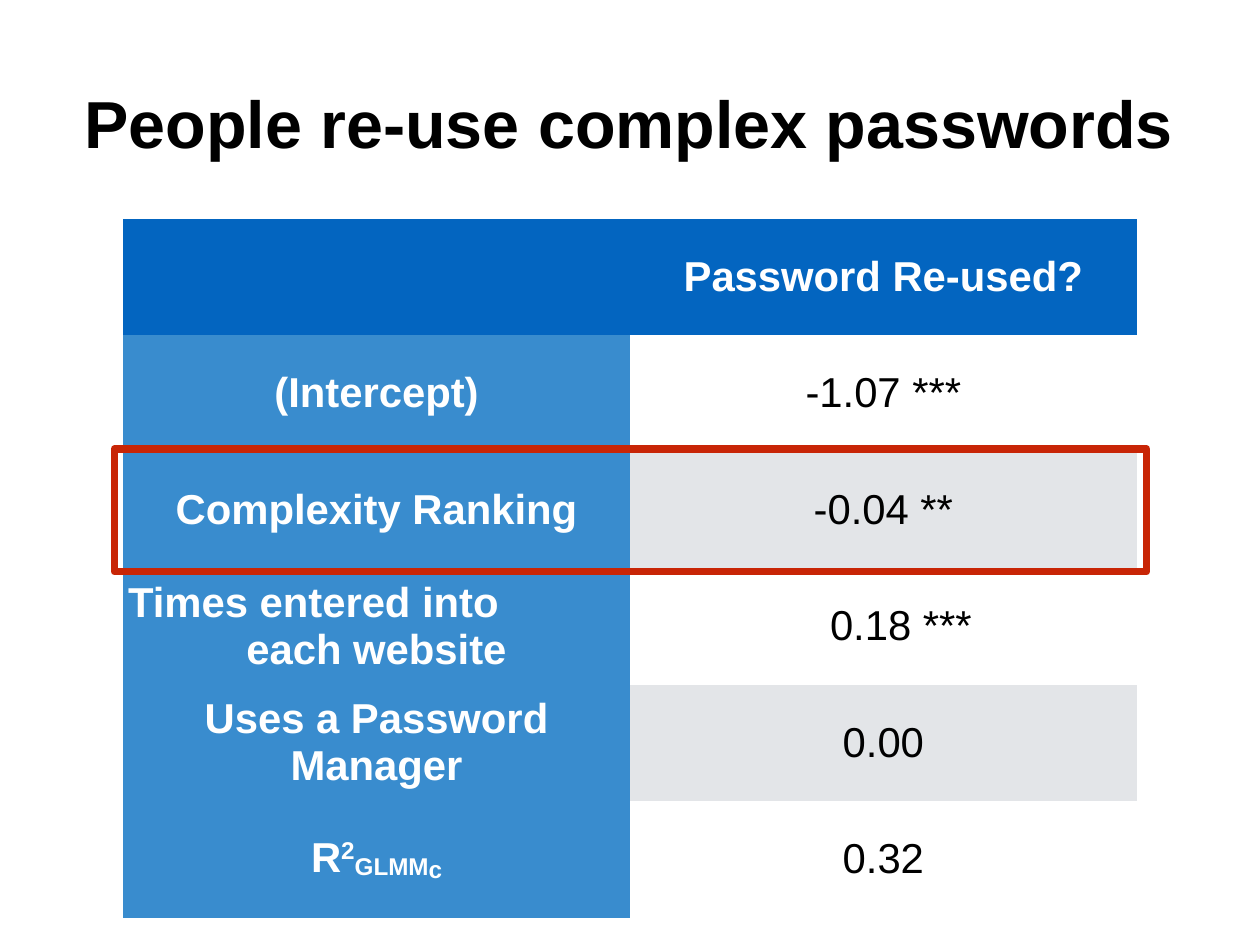
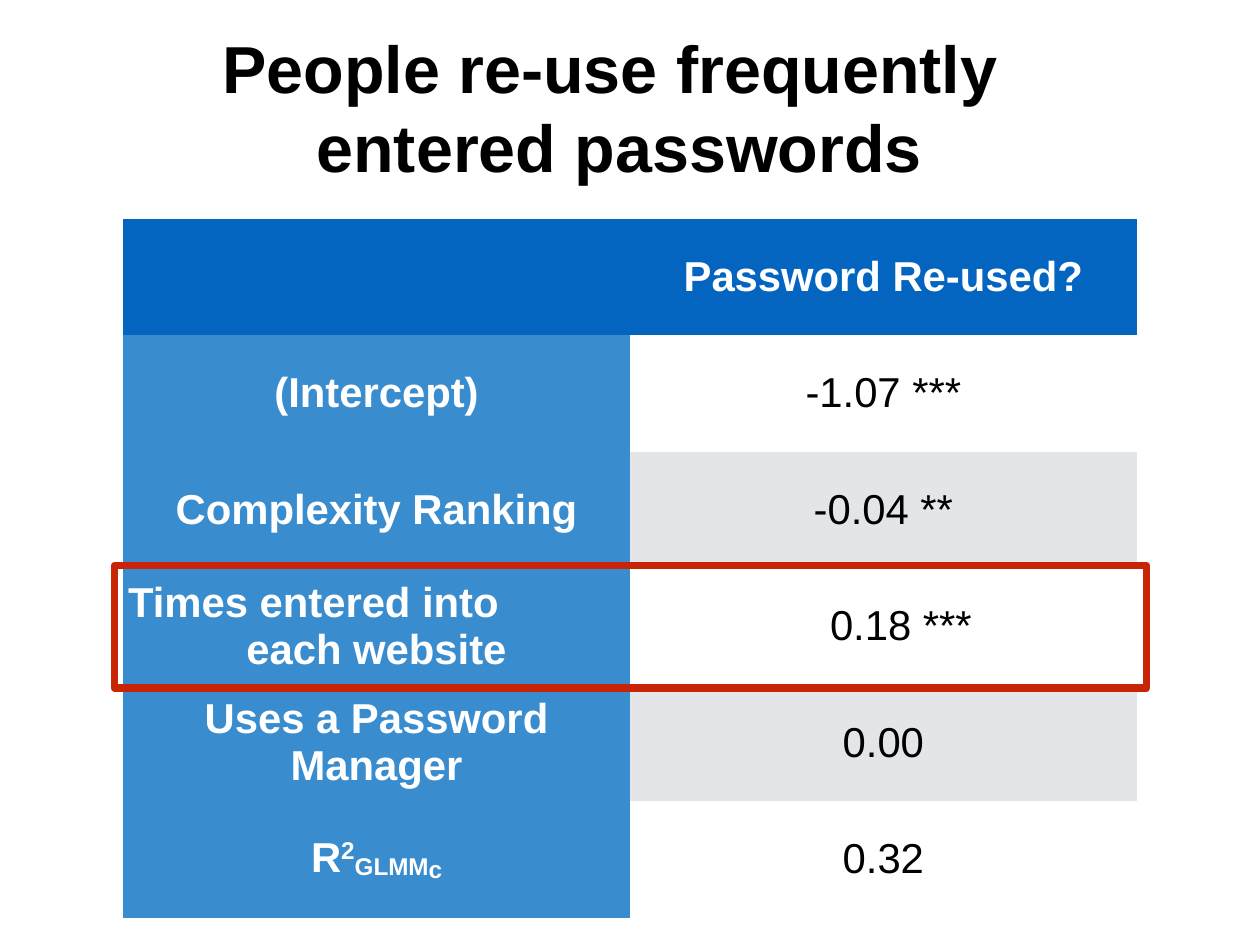
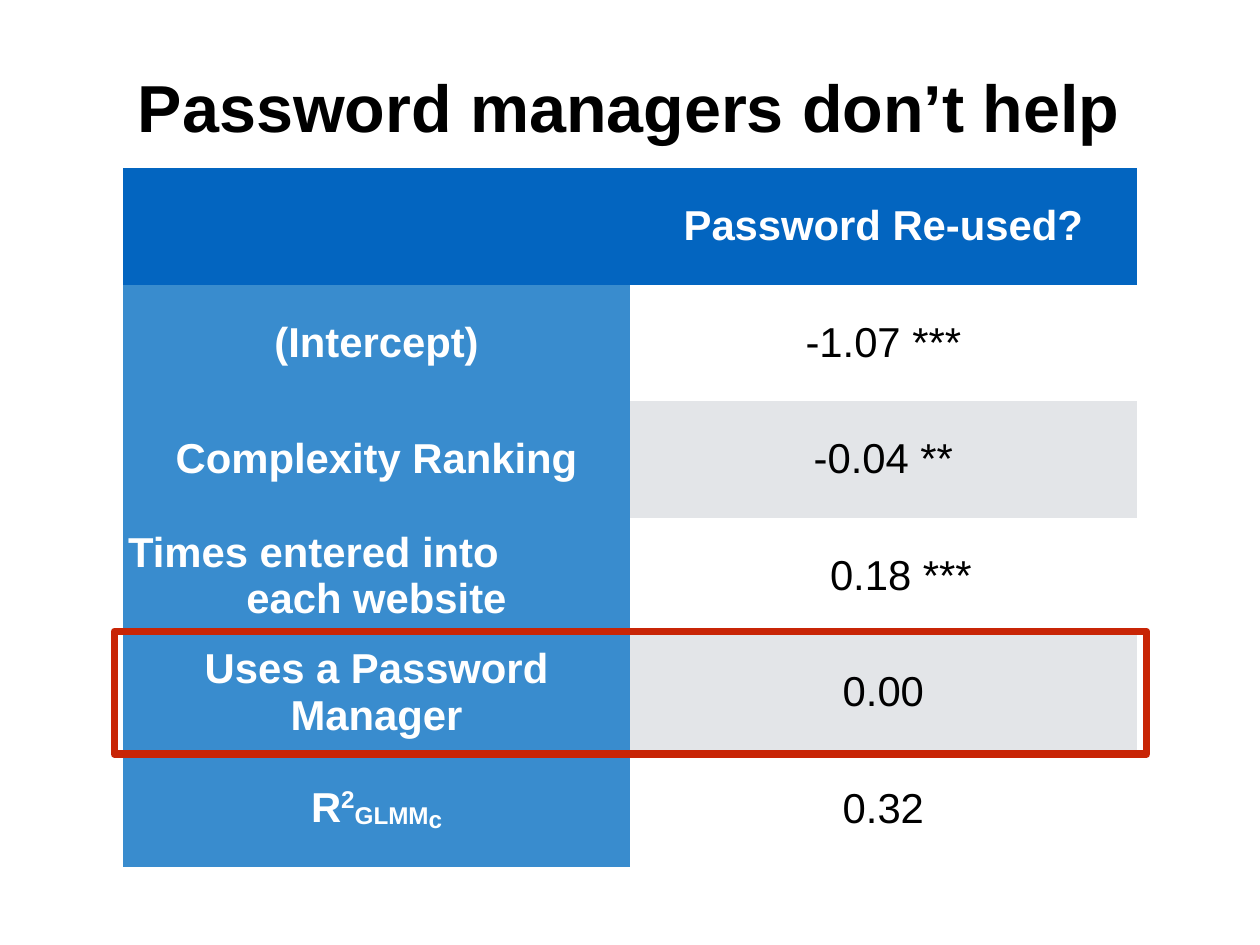
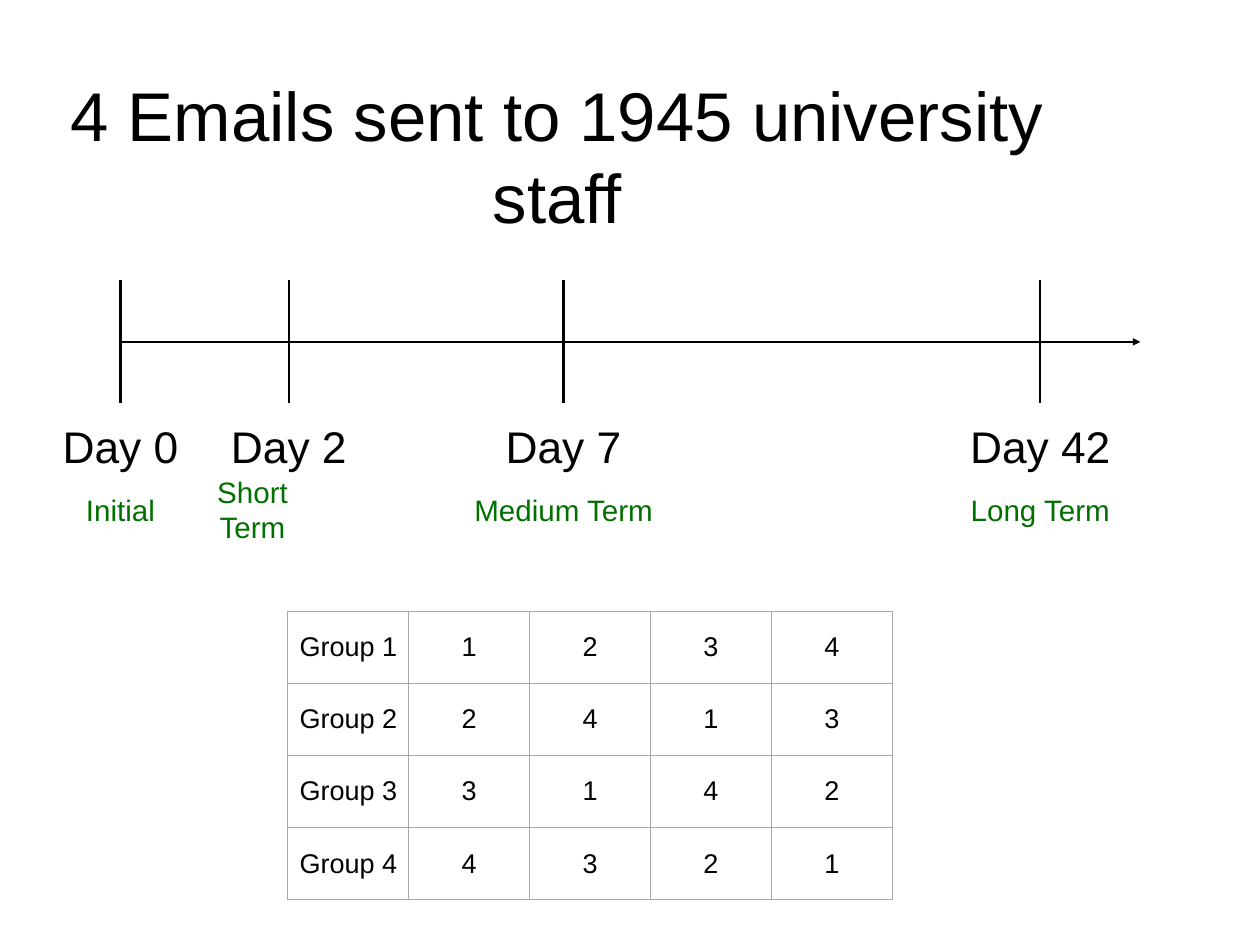
from pptx import Presentation, util as u
from pptx.dml.color import RGBColor
from pptx.enum import shapes, text
from pptx.oxml.ns import qn
from lxml import etree

W, H = 14.22, 10.67
FONT = "Arial"
INK = {"text": "000000", "white": "FFFFFF", "head": "0365C0", "side": "398CCE",
       "band": "E3E5E8", "mark": "C82506", "term": "027001", "grid": "A6AAA9"}
PAD = u.Pt(4)
PLAIN = "{2D5ABB26-0587-4C30-8999-92F81FD0307C}"
MID, LEFT = text.PP_ALIGN.CENTER, text.PP_ALIGN.LEFT

MODEL = [
    ("", "Password Re-used?"),
    ("(Intercept)", "-1.07 ***"),
    ("Complexity Ranking", "-0.04 **"),
    ("Times entered into\neach website", "0.18 ***"),
    ("Uses a Password Manager", "0.00"),
    ([("R", 0), ("2", 32), ("GLMM", -6), ("c", -15)], "0.32"),
]
# title, its centre, table top, marked row
FINDINGS = [
    ("People re-use complex passwords", (7.1, 1.38), 2.47, 2),
    ("People re-use frequently \nentered passwords", (6.99, 1.2), 2.47, 3),
    ("Password managers don’t help", (7.1, 1.2), 1.9, 4),
]
# day, term, x of the tick, width and centre of the term
DAYS = [
    ("Day 0", "Initial", 1.36, 1.4, 1.36),
    ("Day 2", "Short Term", 3.26, 1.0, 2.85),
    ("Day 7", "Medium Term", 6.36, 2.4, 6.36),
    ("Day 42", "Long Term", 11.74, 2.4, 11.74),
]
GROUPS = ["1234", "2413", "3142", "4321"]


def rgb(name):
    return RGBColor.from_string(INK[name])


def inch(*vals):
    return [u.Inches(v) for v in vals]


def style(par, size, ink, bold=False, align=MID):
    par.alignment = align
    font = par.font
    font.name, font.size, font.bold = FONT, u.Pt(size), bold
    font.color.rgb = rgb(ink)


def label(slide, words, mid, wide, high, size, ink="text", bold=False):
    """Text box centred on the point mid."""
    x, y = mid
    box = slide.shapes.add_textbox(*inch(x - wide / 2, y - high / 2, wide, high))
    frame = box.text_frame
    frame.word_wrap = True
    frame.vertical_anchor = text.MSO_ANCHOR.MIDDLE
    frame.margin_left = frame.margin_right = PAD
    frame.margin_top = frame.margin_bottom = PAD
    frame.text = words
    for par in frame.paragraphs:
        style(par, size, ink, bold)


def grid(slide, box, rows, cols):
    """Unstyled table with equal columns and rows."""
    table = slide.shapes.add_table(rows, cols, *inch(*box)).table
    table.first_row = table.horz_banding = False
    table._tbl.tblPr.find(qn("a:tableStyleId")).text = PLAIN
    for col in table.columns:
        col.width = u.Inches(box[2] / cols)
    for row in table.rows:
        row.height = u.Inches(box[3] / rows)
    return table


def fill(cell, words, back, size, ink, bold=False):
    cell.fill.solid()
    cell.fill.fore_color.rgb = rgb(back)
    cell.vertical_anchor = text.MSO_ANCHOR.MIDDLE
    cell.margin_left = cell.margin_right = PAD
    cell.margin_top = cell.margin_bottom = PAD
    frame = cell.text_frame
    if isinstance(words, str):
        frame.text = words
    else:
        for part, base in words:
            run = frame.paragraphs[0].add_run()
            run.text = part
            if base:
                run._r.get_or_add_rPr().set("baseline", str(base * 1000))
    for par in frame.paragraphs:
        style(par, size, ink, bold)


def edge(cell):
    props = cell._tc.get_or_add_tcPr()
    for spot, side in enumerate(("lnL", "lnR", "lnT", "lnB")):
        line = etree.Element(qn("a:" + side), w=str(u.Pt(1)))
        paint = etree.SubElement(line, qn("a:solidFill"))
        etree.SubElement(paint, qn("a:srgbClr"), val=INK["grid"])
        props.insert(spot, line)


def rule(slide, start, end, arrow=False):
    line = slide.shapes.add_connector(
        shapes.MSO_CONNECTOR.STRAIGHT, *inch(*start, *end))
    line.line.color.rgb = rgb("text")
    line.line.width = u.Pt(2)
    if arrow:
        etree.SubElement(line.line._get_or_add_ln(), qn("a:tailEnd"), type="triangle")
    etree.SubElement(line._element.spPr, qn("a:effectLst"))


def model(slide, box, mark):
    """Regression table with a frame around the row mark."""
    x, y, wide, high = box
    table = grid(slide, box, len(MODEL), 2)
    for r, (name, value) in enumerate(MODEL):
        side, data = table.cell(r, 0), table.cell(r, 1)
        fill(side, name, "side" if r else "head", 34, "white", True)
        if r:
            fill(data, value, "white" if r % 2 else "band", 34, "text")
        else:
            fill(data, value, "head", 34, "white", True)
    table.cell(3, 0).text_frame.paragraphs[0].alignment = LEFT
    table.cell(3, 1).margin_left = u.Inches(0.45)

    step = high / len(MODEL)
    frame = slide.shapes.add_shape(
        shapes.MSO_SHAPE.RECTANGLE,
        *inch(x - 0.1, y + mark * step - 0.03, wide + 0.21, step + 0.07))
    frame.shadow.inherit = False
    frame.fill.background()
    frame.line.color.rgb = rgb("mark")
    frame.line.width = u.Pt(6)


def finding(slide, title, mid, top, mark):
    label(slide, title, mid, 13, 1.92 if "\n" in title else 1.01, 54, bold=True)
    model(slide, (1.39, top, 11.44, 7.89), mark)


def timeline(slide, y, end):
    rule(slide, (DAYS[0][2], y), (end, y), arrow=True)
    for day, term, x, wide, mid in DAYS:
        rule(slide, (x, y + 0.69), (x, y - 0.7))
        label(slide, day, (x, y + 1.17), 1.9, 0.71, 36)
        label(slide, term, (mid, y + 1.89), wide, 0.51, 24, "term")


def groups(slide, box):
    table = grid(slide, box, len(GROUPS), 5)
    for r, order in enumerate(GROUPS):
        for c, words in enumerate([f"Group {r + 1}", *order]):
            cell = table.cell(r, c)
            fill(cell, words, "white", 22, "text")
            edge(cell)


def study(slide):
    timeline(slide, 3.86, 12.87)
    label(slide, "4 Emails sent to 1945 university staff", (6.29, 1.75), 11.3, 1.04, 56)
    groups(slide, (3.25, 6.9, 6.82, 3.26))


def main():
    deck = Presentation()
    deck.slide_width, deck.slide_height = inch(W, H)
    blank = deck.slide_layouts[6]
    for facts in FINDINGS:
        finding(deck.slides.add_slide(blank), *facts)
    study(deck.slides.add_slide(blank))
    deck.save("out.pptx")


if __name__ == "__main__":
    main()
